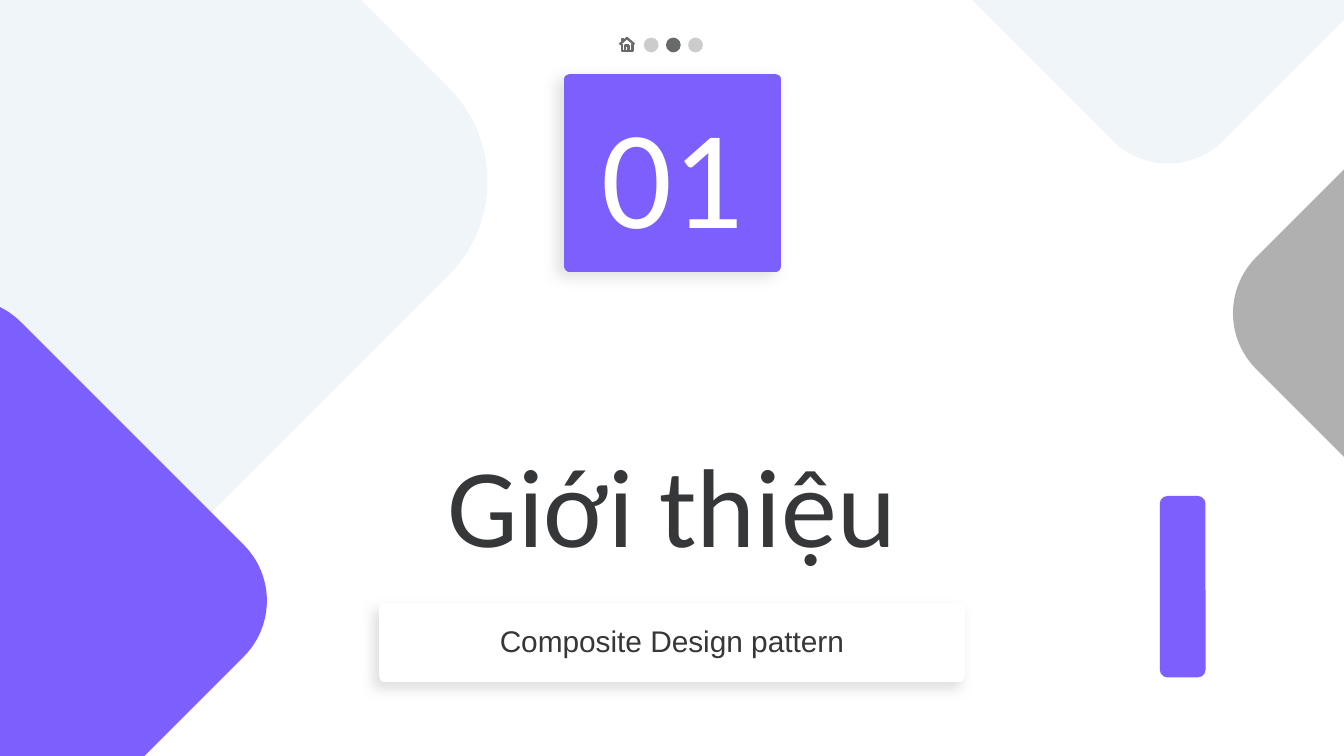
from lxml import etree
from pptx import Presentation
from pptx.dml.color import RGBColor
from pptx.enum.shapes import MSO_SHAPE
from pptx.enum.text import MSO_ANCHOR, PP_ALIGN
from pptx.oxml.ns import qn
from pptx.util import Inches, Pt

PURPLE = RGBColor(0x7D, 0x5F, 0xFE)
PALE = RGBColor(0xF0, 0xF5, 0xFA)
GREY = RGBColor(0xB0, 0xB0, 0xB0)
DARK_GREY = RGBColor(0x67, 0x69, 0x6B)
INK = RGBColor(0x35, 0x37, 0x38)
WHITE = RGBColor(0xFF, 0xFF, 0xFF)

# left, top, side, colour
DIAMONDS = [
    (6.93, -2.79, 3.52, PALE),
    (-3.11, -1.61, 5.92, PALE),
    (-2.02, 2.71, 3.52, PURPLE),
    (9.66, 0.57, 3.52, GREY),
]
TITLE = dict(text="Giới thiệu", box=(2.58, 2.17, 4.84, 2.17),
             anchor=MSO_ANCHOR.BOTTOM,
             font=dict(size=Pt(60), name="Calibri"), color=INK)
# shadow: blur in points, direction in degrees
CARDS = [
    dict(text="01", box=(4.24, 0.59, 1.53, 1.39), anchor=MSO_ANCHOR.MIDDLE,
         font=dict(size=Pt(75), name="Calibri"), color=WHITE,
         fill=PURPLE, shadow=(7.9, 150)),
    dict(text="Composite Design pattern", box=(2.86, 4.53, 4.28, 0.5),
         anchor=MSO_ANCHOR.TOP,
         font=dict(size=Pt(16), name="Arial"), color=INK,
         fill=WHITE, shadow=(6.8, 130)),
]
BAR = (8.63, 3.69, 0.34, 1.35)
# fill, opacity in percent
DOTS = [(GREY, 64), (DARK_GREY, 100), (GREY, 64)]
DOT_LEFT, DOT_TOP, DOT_SIZE, DOT_STEP = 4.79, 0.28, 0.11, 0.165
# home icon strokes, in thousandths of an inch
HOME = [
    [(4612, 331), (4667, 283), (4722, 331)],
    [(4628, 325), (4628, 382), (4708, 382), (4708, 325)],
    [(4655, 380), (4655, 338), (4680, 338), (4680, 380)],
    [(4628, 308), (4628, 291), (4648, 291)],
]


def add_block(s, kind, box, color):
    sp = s.shapes.add_shape(kind, *map(Inches, box))
    sp.shadow.inherit = False
    sp.fill.solid()
    sp.fill.fore_color.rgb = color
    sp.line.fill.background()
    return sp


def set_alpha(clr, percent):
    etree.SubElement(clr, qn("a:alpha"), val=str(percent * 1000))


def set_text(sp, item):
    tf = sp.text_frame
    tf.word_wrap = True
    tf.vertical_anchor = item["anchor"]
    for side in ("left", "right", "top", "bottom"):
        setattr(tf, f"margin_{side}", Inches(0.1))
    p = tf.paragraphs[0]
    p.alignment = PP_ALIGN.CENTER
    r = p.add_run()
    r.text = item["text"]
    for key, value in item["font"].items():
        setattr(r.font, key, value)
    r.font.color.rgb = item["color"]


def add_card(s, item):
    sp = add_block(s, MSO_SHAPE.RECTANGLE, item["box"], item["fill"])
    sp.line.color.rgb = item["fill"]
    sp.line.width = Pt(6)
    etree.SubElement(sp.line._get_or_add_ln(), qn("a:round"))
    blur, angle = item["shadow"]
    effects = sp._element.spPr.find(qn("a:effectLst"))
    shadow = etree.SubElement(
        effects, qn("a:outerShdw"), blurRad=str(Pt(blur)), dist=str(Pt(4.5)),
        dir=str(angle * 60000), algn="bl", rotWithShape="0")
    set_alpha(etree.SubElement(shadow, qn("a:srgbClr"), val=str(GREY)), 40)
    set_text(sp, item)


def add_home_icon(s):
    first, *others = HOME
    builder = s.shapes.build_freeform(*first[0], scale=Inches(0.001))
    builder.add_line_segments(first[1:], close=False)
    for stroke in others:
        builder.move_to(*stroke[0])
        builder.add_line_segments(stroke[1:], close=False)
    sp = builder.convert_to_shape()
    sp.shadow.inherit = False
    sp.fill.background()
    sp.line.color.rgb = DARK_GREY
    sp.line.width = Pt(1.25)


def main():
    prs = Presentation()
    prs.slide_width, prs.slide_height = Inches(10), Inches(10 * 9 / 16)
    s = prs.slides.add_slide(prs.slide_layouts[6])

    for left, top, side, color in DIAMONDS:
        sp = add_block(s, MSO_SHAPE.ROUNDED_RECTANGLE,
                       (left, top, side, side), color)
        sp.rotation = 315

    set_text(s.shapes.add_textbox(*map(Inches, TITLE["box"])), TITLE)
    for card in CARDS:
        add_card(s, card)
    add_block(s, MSO_SHAPE.ROUNDED_RECTANGLE, BAR, PURPLE)

    for i, (color, opacity) in enumerate(DOTS):
        box = (DOT_LEFT + i * DOT_STEP, DOT_TOP, DOT_SIZE, DOT_SIZE)
        sp = add_block(s, MSO_SHAPE.OVAL, box, color)
        if opacity < 100:
            fill = sp._element.spPr.find(qn("a:solidFill"))
            set_alpha(fill[0], opacity)
    add_home_icon(s)

    prs.save("out.pptx")


if __name__ == "__main__":
    main()
